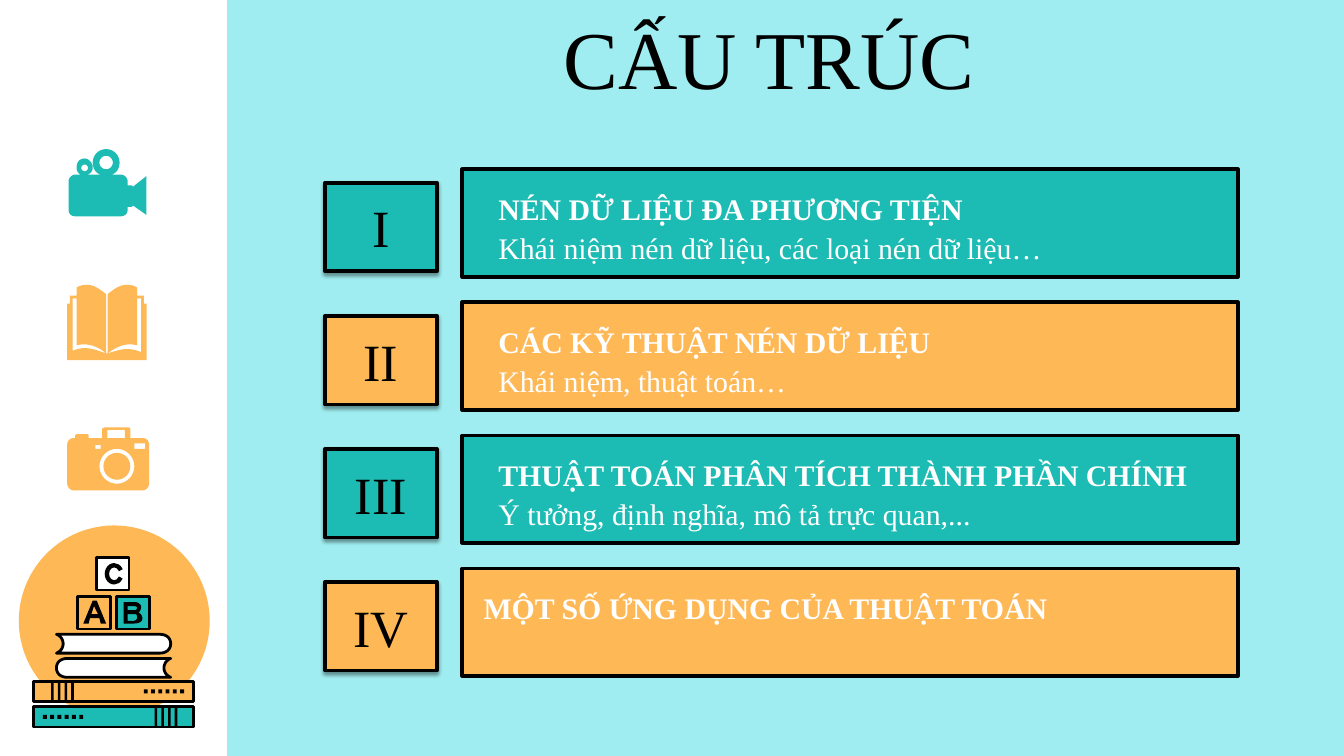
from math import cos, pi, sin

from lxml import etree
from pptx import Presentation
from pptx.dml.color import RGBColor
from pptx.enum.shapes import MSO_SHAPE
from pptx.enum.text import MSO_ANCHOR, MSO_AUTO_SIZE, PP_ALIGN
from pptx.oxml.ns import qn
from pptx.util import Inches, Pt

RECT, ELLIPSE, ARC = MSO_SHAPE.RECTANGLE, MSO_SHAPE.OVAL, MSO_SHAPE.BLOCK_ARC
CENTER, LEFT = PP_ALIGN.CENTER, PP_ALIGN.LEFT
TEAL = RGBColor(0x1C, 0xBB, 0xB4)
ORANGE = RGBColor(0xFE, 0xB8, 0x56)
CYAN = RGBColor(0x9F, 0xED, 0xF0)
WHITE = RGBColor(0xFF, 0xFF, 0xFF)
BLACK = RGBColor(0, 0, 0)
FONT = "Times New Roman"
SLIDE_WIDTH = 10
SLIDE_HEIGHT = SLIDE_WIDTH * 9 / 16

# Content: numeral, heading, detail, colour, text left, text width
TITLE = "CẤU TRÚC"
SECTIONS = [
    ("I", "NÉN DỮ LIỆU ĐA PHƯƠNG TIỆN",
     "Khái niệm nén dữ liệu, các loại nén dữ liệu…", TEAL, 3.61, 5.2),
    ("II", "CÁC KỸ THUẬT NÉN DỮ LIỆU", "Khái niệm, thuật toán…", ORANGE, 3.61, 5.2),
    ("III", "THUẬT TOÁN PHÂN TÍCH THÀNH PHẦN CHÍNH",
     "Ý tưởng, định nghĩa, mô tả trực quan,...", TEAL, 3.61, 5.48),
    ("IV", "MỘT SỐ ỨNG DỤNG CỦA THUẬT TOÁN", None, ORANGE, 3.5, 5.6),
]
ROW_TOP, ROW_STEP = 1.26, 0.99


def circle(x, y, radius):
    angles = [2 * pi * i / 32 for i in range(32)]
    return [(x + radius * cos(a), y + radius * sin(a)) for a in angles]


def box(left, top, right, bottom):
    return [(left, top), (right, top), (right, bottom), (left, bottom)]


# Outlines in inches: pairs are line ends, six numbers are a Bézier curve
LETTER_A = [
    [(0.7, 4.51), (0.68, 4.57), (0.73, 4.57)],
    [(0.69, 4.47), (0.72, 4.47), (0.79, 4.64), (0.75, 4.64), (0.74, 4.6),
     (0.67, 4.6), (0.66, 4.64), (0.62, 4.64)],
]
LETTER_B = [
    [(0.95, 4.57), (0.95, 4.62), (1, 4.62), (1.02, 4.61, 1.02, 4.61, 1.02, 4.59),
     (1.02, 4.58, 1.02, 4.57, 1, 4.57)],
    [(0.95, 4.51), (0.95, 4.54), (1, 4.54), (1.01, 4.54, 1.02, 4.54, 1.02, 4.52),
     (1.02, 4.52, 1.01, 4.51, 1, 4.51)],
    [(0.92, 4.48), (1, 4.48), (1.04, 4.48, 1.05, 4.51, 1.05, 4.51),
     (1.05, 4.54, 1.04, 4.55, 1.03, 4.56), (1.04, 4.56, 1.06, 4.58, 1.06, 4.6),
     (1.06, 4.63, 1.03, 4.64, 1, 4.64), (0.92, 4.64)],
]
UPPER_BOOK = [
    (0.42, 4.72), (1.19, 4.72), (1.24, 4.72, 1.27, 4.75, 1.27, 4.79),
    (1.27, 4.83, 1.24, 4.86, 1.19, 4.86), (0.42, 4.86),
    (0.45, 4.85, 0.47, 4.82, 0.47, 4.79), (0.47, 4.76, 0.45, 4.73, 0.42, 4.72),
]
# The lower white book is the upper one mirrored and moved down
LOWER_BOOK = [tuple(v + 0.18 if i % 2 else 1.69 - v for i, v in enumerate(point))
              for point in UPPER_BOOK]
CAMERA = [
    circle(0.87, 3.47, 0.1), circle(0.87, 3.47, 0.13),
    box(0.71, 3.31, 0.75, 3.34), box(1, 3.3, 1.08, 3.34), box(0.8, 3.2, 0.93, 3.26),
    [(0.78, 3.18), (0.96, 3.18), (0.97, 3.19), (0.97, 3.26), (1.06, 3.26),
     (1.09, 3.26, 1.11, 3.28, 1.11, 3.31), (1.11, 3.6),
     (1.11, 3.62, 1.09, 3.65, 1.06, 3.65), (0.55, 3.65),
     (0.52, 3.65, 0.5, 3.62, 0.5, 3.6), (0.5, 3.31),
     (0.5, 3.28, 0.52, 3.26, 0.55, 3.26), (0.56, 3.26), (0.56, 3.24), (0.57, 3.23),
     (0.65, 3.23), (0.66, 3.24), (0.66, 3.26), (0.76, 3.26), (0.76, 3.19)],
]
CAMCORDER = [
    circle(0.63, 1.25, 0.025), circle(0.79, 1.21, 0.05),
    [(0.79, 1.11), (0.85, 1.11, 0.89, 1.16, 0.89, 1.21),
     (0.89, 1.25, 0.87, 1.29, 0.83, 1.3), (0.9, 1.3),
     (0.93, 1.3, 0.95, 1.33, 0.95, 1.35), (0.95, 1.38), (0.98, 1.38), (0.99, 1.39),
     (1.09, 1.31), (1.09, 1.6), (0.99, 1.53), (0.98, 1.54), (0.95, 1.54), (0.95, 1.56),
     (0.95, 1.59, 0.93, 1.61, 0.9, 1.61), (0.56, 1.61),
     (0.53, 1.61, 0.51, 1.59, 0.51, 1.56), (0.51, 1.35),
     (0.51, 1.33, 0.53, 1.3, 0.56, 1.3), (0.6, 1.3),
     (0.58, 1.29, 0.57, 1.27, 0.57, 1.25), (0.57, 1.21, 0.59, 1.18, 0.63, 1.18),
     (0.66, 1.18, 0.69, 1.21, 0.69, 1.25), (0.69, 1.27, 0.68, 1.29, 0.65, 1.3),
     (0.75, 1.3), (0.71, 1.29, 0.69, 1.25, 0.69, 1.21),
     (0.69, 1.16, 0.73, 1.11, 0.79, 1.11)],
]
OPEN_BOOK = [[
    (0.79, 2.63), (0.8, 2.63), (0.9, 2.6, 0.95, 2.58, 1.05, 2.62), (1.05, 2.22),
    (1.02, 2.22), (1.02, 2.57), (0.95, 2.55, 0.88, 2.57, 0.8, 2.63), (0.8, 2.19),
    (0.85, 2.15, 0.89, 2.12, 0.94, 2.12), (0.96, 2.12, 0.99, 2.12, 1.02, 2.14),
    (1.02, 2.2), (1.07, 2.2), (1.07, 2.26), (1.09, 2.26), (1.09, 2.68), (0.5, 2.68),
    (0.5, 2.26), (0.52, 2.26), (0.52, 2.2), (0.57, 2.2), (0.57, 2.14),
    (0.6, 2.12, 0.63, 2.12, 0.65, 2.12), (0.7, 2.12, 0.74, 2.15, 0.79, 2.19),
    (0.79, 2.63), (0.72, 2.57, 0.64, 2.55, 0.57, 2.57), (0.57, 2.22), (0.54, 2.22),
    (0.54, 2.61), (0.64, 2.57, 0.7, 2.6, 0.79, 2.63),
]]

prs = Presentation()
prs.slide_width, prs.slide_height = Inches(SLIDE_WIDTH), Inches(SLIDE_HEIGHT)
slide = prs.slides.add_slide(prs.slide_layouts[5])
shapes = slide.shapes


def paint(shape, fill, line_width=0):
    shape.shadow.inherit = False
    shape.fill.solid()
    shape.fill.fore_color.rgb = fill
    if line_width:
        shape.line.color.rgb = BLACK
        shape.line.width = Pt(line_width)
    else:
        shape.line.fill.background()
    return shape


def add_preset(kind, left, top, width, height, fill, line_width=0):
    shape = shapes.add_shape(kind, *map(Inches, (left, top, width, height)))
    return paint(shape, fill, line_width)


def flatten(contour):
    """Turn the curves of a contour into short line segments, in EMU."""
    points = [contour[0]]
    for part in contour[1:]:
        if len(part) == 2:
            points.append(part)
            continue
        x0, y0 = points[-1]
        x1, y1, x2, y2, x3, y3 = part
        for t in (i / 8 for i in range(1, 9)):
            a, b, c, d = (1 - t) ** 3, 3 * t * (1 - t) ** 2, 3 * t * t * (1 - t), t ** 3
            points.append((a * x0 + b * x1 + c * x2 + d * x3,
                           a * y0 + b * y1 + c * y2 + d * y3))
    return [(Inches(x), Inches(y)) for x, y in points]


def add_outline(contours, fill, line_width=0):
    first, *others = [flatten(contour) for contour in contours]
    builder = shapes.build_freeform(*first[0])
    builder.add_line_segments(first[1:], close=True)
    for points in others:
        builder.move_to(*points[0])
        builder.add_line_segments(points[1:], close=True)
    return paint(builder.convert_to_shape(), fill, line_width)


def write(shape, text, size, color, align=LEFT, bold=False):
    frame = shape.text_frame
    frame.word_wrap = True
    frame.auto_size = MSO_AUTO_SIZE.NONE
    frame.vertical_anchor = MSO_ANCHOR.MIDDLE if align == CENTER else MSO_ANCHOR.TOP
    frame.text = text
    paragraph = frame.paragraphs[0]
    paragraph.alignment = align
    font = paragraph.font
    font.name, font.size, font.bold = FONT, Pt(size), bold
    font.color.rgb = color


def add_shadow(shape):
    effects = shape._element.spPr.find(qn("a:effectLst"))
    shadow = etree.SubElement(effects, qn("a:outerShdw"), blurRad=str(Pt(2)),
                              dist=str(Pt(1.5)), dir="5400000", rotWithShape="0")
    color = etree.SubElement(shadow, qn("a:srgbClr"), val="000000")
    etree.SubElement(color, qn("a:alpha"), val="40000")


# Panel and the pile of books
add_preset(RECT, 1.69, 0, SLIDE_WIDTH - 1.69, SLIDE_HEIGHT, CYAN)
add_preset(ELLIPSE, 0.14, 3.91, 1.42, 1.42, ORANGE)
for top, fill, stripes_left, dots_left in [(5.07, ORANGE, 0.38, 1.07),
                                           (5.26, TEAL, 1.15, 0.32)]:
    add_preset(RECT, 0.25, top, 1.19, 0.15, fill, 1.5)
    for i in range(4):
        add_preset(RECT, stripes_left + 0.05 * i, top, 0.02, 0.15, BLACK)
    for i in range(6):
        add_preset(RECT, dots_left + 0.27 / 5 * i, top + 0.06, 0.03, 0.03, BLACK)

# Letter blocks and white books
for left, top, fill in [(0.58, 4.44, ORANGE), (0.87, 4.44, TEAL), (0.72, 4.15, WHITE)]:
    add_preset(RECT, left, top, 0.24, 0.24, fill, 1.5)
add_outline(LETTER_A, BLACK)
add_outline(LETTER_B, BLACK)
letter_c = add_preset(ARC, 0.78, 4.19, 0.14, 0.16, BLACK)
for i, value in enumerate((17.57, 198.9, 0.23)):
    letter_c.adjustments[i] = value
for book in (UPPER_BOOK, LOWER_BOOK):
    add_outline([book], WHITE, 1.5)

# Title, brought in front of the panel
title = shapes.title
title.left, title.top, title.width, title.height = map(Inches, (1.69, 0, 8.07, 0.85))
write(title, TITLE, 44, BLACK, CENTER)
shapes._spTree.append(title._element)

# Sections
for row, (numeral, heading, detail, fill, left, width) in enumerate(SECTIONS):
    top = ROW_TOP + ROW_STEP * row
    number_box = add_preset(RECT, 2.42, top + 0.1, 0.83, 0.66, fill, 2)
    add_shadow(number_box)
    write(number_box, numeral, 28, BLACK, CENTER)
    add_preset(RECT, 3.44, top, 5.77, 0.8, fill, 2)
    for text, offset, bold in [(heading, 0.11, True), (detail, 0.4, False)]:
        if text:
            label = shapes.add_textbox(*map(Inches, (left, top + offset, width, 0.37)))
            write(label, text, 16, WHITE, bold=bold)

# Side icons
add_outline(CAMERA, ORANGE)
add_outline(CAMCORDER, TEAL)
add_outline(OPEN_BOOK, ORANGE)

prs.save("out.pptx")
